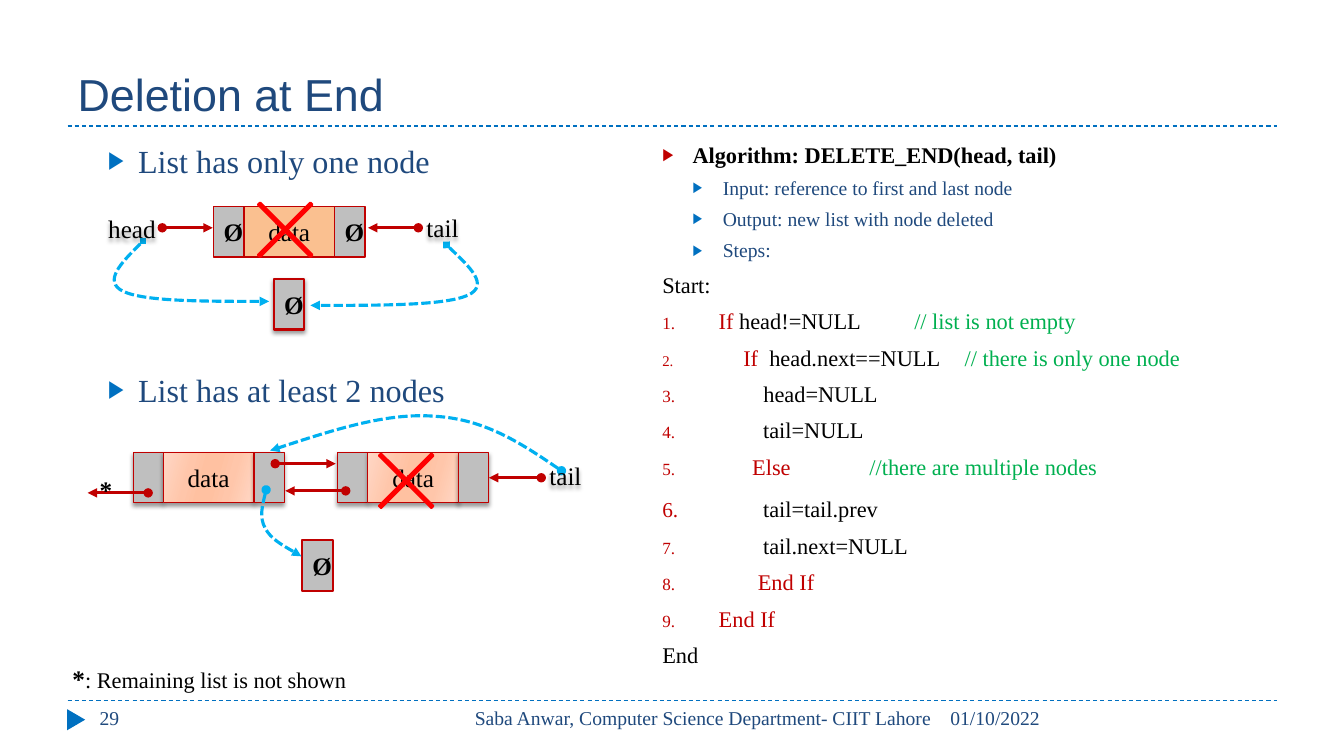
"""Build the slide on deleting the last node of a doubly linked list."""
from dataclasses import dataclass
from typing import Any, NamedTuple, Optional

import lxml.etree
import pptx
import pptx.dml.color
import pptx.enum.dml
import pptx.enum.shapes
import pptx.enum.text
import pptx.oxml
import pptx.oxml.ns
import pptx.util

qn = pptx.oxml.ns.qn
Preset = pptx.enum.shapes.MSO_SHAPE
Dash = pptx.enum.dml.MSO_LINE
Align = pptx.enum.text.PP_ALIGN
Anchor = pptx.enum.text.MSO_ANCHOR


@dataclass(frozen=True)
class Theme:
    sans: str = "Arial"
    serif: str = "Times New Roman"
    navy: str = "1F497D"
    blue: str = "0070C0"
    sky: str = "00B0F0"
    crimson: str = "C00000"
    red: str = "FF0000"
    green: str = "00B050"
    black: str = "000000"
    grey: str = "BFBFBF"
    orange: str = "FAC090"
    peach: tuple = ((0, "FFD7C5"), (30, "FFC6AA"), (45, "FFC1A1"),
                    (55, "FFC1A1"), (73, "FFC6AA"), (100, "FFD7C5"))
    title: int = 32
    topic: int = 23
    step: int = 20
    label: int = 18
    code: int = 16
    small: int = 14


THEME = Theme()
UNITS_PER_INCH = 10


class Box(NamedTuple):
    left: float
    top: float
    width: float
    height: float


class Piece(NamedTuple):
    text: str
    color: str = THEME.black
    size: int = THEME.code
    bold: bool = False
    font: str = THEME.serif


class Item(NamedTuple):
    pieces: tuple
    before: float = 0
    level: int = 0
    margin: float = 0
    hang: float = 0
    bullet: Optional[str] = None
    bullet_color: str = THEME.crimson


class Node(NamedTuple):
    left: float
    top: float
    end_mark: str
    data_fill: Any
    line: float
    shadow: bool


class Arrow(NamedTuple):
    start: tuple
    end: tuple


class Curve(NamedTuple):
    points: tuple
    tail_mark: str


def grid(units: float) -> int:
    return pptx.util.Inches(units / UNITS_PER_INCH)


def rgb(color: str) -> pptx.dml.color.RGBColor:
    return pptx.dml.color.RGBColor.from_string(color)


def add_element(parent: Any, tag: str, **attributes: Any) -> Any:
    return lxml.etree.SubElement(parent, qn(tag), {k: str(v) for k, v in attributes.items()})


def place(shape: Any, box: Box) -> None:
    shape.left, shape.top, shape.width, shape.height = map(grid, box)


def write_item(paragraph: Any, item: Item) -> None:
    paragraph.level = item.level
    paragraph.space_before = pptx.util.Pt(item.before)
    properties = paragraph._p.get_or_add_pPr()
    properties.set("marL", str(grid(item.margin)))
    properties.set("indent", str(-grid(item.hang)))
    if item.bullet is None:
        add_element(properties, "a:buNone")
    else:
        add_element(add_element(properties, "a:buClr"), "a:srgbClr", val=item.bullet_color)
        add_element(properties, "a:buSzPct", val=76000)
        add_element(properties, "a:buFont", typeface=THEME.sans if item.bullet == "▶" else THEME.serif)
        if item.bullet == "▶":
            add_element(properties, "a:buChar", char=item.bullet)
        else:
            add_element(properties, "a:buAutoNum", type=item.bullet)
    for piece in item.pieces:
        run = paragraph.add_run()
        run.text = piece.text
        run.font.name, run.font.size, run.font.bold = piece.font, pptx.util.Pt(piece.size), piece.bold
        run.font.color.rgb = rgb(piece.color)


def write(shape: Any, items: list, anchor: Any = Anchor.TOP, align: Any = Align.LEFT, wrap: bool = True) -> None:
    frame = shape.text_frame
    frame.auto_size = pptx.enum.text.MSO_AUTO_SIZE.NONE
    frame.word_wrap = wrap
    frame.vertical_anchor = anchor
    for index, item in enumerate(items):
        paragraph = frame.add_paragraph() if index else frame.paragraphs[0]
        write_item(paragraph, item)
        paragraph.alignment = align


def add_shadow(shape: Any) -> None:
    effects = add_element(shape._element.spPr, "a:effectLst")
    shadow = add_element(effects, "a:outerShdw", blurRad=pptx.util.Pt(3), dist=pptx.util.Pt(2), dir=5400000)
    add_element(add_element(shadow, "a:srgbClr", val=THEME.black), "a:alpha", val=40000)


def add_text(shapes: Any, box: Box, *pieces: Piece, shadow: bool = False, **layout: Any) -> None:
    text = shapes.add_textbox(*map(grid, box))
    write(text, [Item(pieces)], **layout)
    if shadow:
        add_shadow(text)


def style_line(line: Any, color: str, width: float, dash: Any = None, head: str = "", tail: str = "") -> None:
    line.color.rgb, line.width = rgb(color), pptx.util.Pt(width)
    if dash:
        line.dash_style = dash
    for tag, mark in (("a:headEnd", head), ("a:tailEnd", tail)):
        if mark:
            add_element(line._get_or_add_ln(), tag, type=mark)


def add_preset(shapes: Any, preset: Any, box: Box, fill: Any, color: str, width: float,
               mark: str = "", bold: bool = False, shadow: bool = False) -> Any:
    shape = shapes.add_shape(preset, *map(grid, box))
    if isinstance(fill, str):
        shape.fill.solid()
        shape.fill.fore_color.rgb = rgb(fill)
    else:
        shape.fill.gradient()
        gradient = shape._element.spPr.find(qn("a:gradFill"))
        for child in list(gradient):
            gradient.remove(child)
        stops = add_element(gradient, "a:gsLst")
        for share, color_stop in fill:
            add_element(add_element(stops, "a:gs", pos=share * 1000), "a:srgbClr", val=color_stop)
        add_element(gradient, "a:lin", ang=16 * 60000, scaled=0)
    style_line(shape.line, color, width)
    if shadow:
        add_shadow(shape)
    else:
        shape.shadow.inherit = False
    if mark:
        write(shape, [Item((Piece(mark, size=THEME.label, bold=bold),))], Anchor.MIDDLE, Align.CENTER)
    return shape


def add_node(shapes: Any, node: Node) -> Any:
    cells = ((0, 3, node.end_mark, THEME.grey), (3, 9, "data", node.data_fill), (12, 3, node.end_mark, THEME.grey))
    return [add_preset(shapes, Preset.RECTANGLE, Box(node.left + offset, node.top, width, 5), fill, THEME.crimson,
                       node.line, mark, mark == "Ø", node.shadow) for offset, width, mark, fill in cells][-1]


def add_line(shapes: Any, arrow: Arrow, *style: Any) -> Any:
    line = shapes.add_connector(pptx.enum.shapes.MSO_CONNECTOR.STRAIGHT, *map(grid, arrow.start + arrow.end))
    style_line(line.line, *style)
    add_element(line._element.spPr, "a:effectLst")
    return line


def add_curve(shapes: Any, curve: Curve) -> None:
    start, *rest = [tuple(map(grid, point)) for point in curve.points]
    builder = shapes.build_freeform(*start)
    builder.add_line_segments(rest, close=False)
    shape = builder.convert_to_shape()
    segments = shape._element.xpath(".//a:lnTo")
    outline = segments[0].getparent()
    for first in range(0, len(segments), 3):
        bezier = add_element(outline, "a:cubicBezTo")
        for segment in segments[first:first + 3]:
            bezier.append(segment[0])
            outline.remove(segment)
    shape.fill.background()
    style_line(shape.line, THEME.sky, 2.25, Dash.SQUARE_DOT, curve.tail_mark, "triangle")
    shape.shadow.inherit = False


def topic(text: str, before: float = 0) -> Item:
    return Item((Piece(text, THEME.navy, THEME.topic),), before, 1, 6, 3, "▶", THEME.blue)


def detail(text: str) -> Item:
    return Item((Piece(text, THEME.navy, THEME.small),), 5.5, 1, 6, 3, "▶", THEME.blue)


def step(*pieces: Piece) -> Item:
    return Item(pieces, 6.75, 0, 5.6, 5.6, "arabicPeriod")


TOPICS = [topic("List has only one node"), topic("List has at least 2 nodes", 136)]
ALGORITHM = [
    Item((Piece("Algorithm: DELETE_END(head, tail)", bold=True),), 0, 0, 3, 3, "▶"),
    detail("Input: reference to first and last node"),
    detail("Output: new list with node deleted"),
    detail("Steps:"),
    Item((Piece("Start:"),), 6.75),
    step(Piece("If", THEME.crimson), Piece(" head!=NULL\t\t"), Piece("// list is not empty", THEME.green)),
    step(Piece("     ", size=THEME.small), Piece("If  ", THEME.crimson), Piece("head.next==NULL\t"),
         Piece("// there is only one node", THEME.green)),
    step(Piece("        head=NULL")),
    step(Piece(" \ttail=NULL")),
    step(Piece("      "), Piece("Else \t\t", THEME.crimson), Piece(" //there are multiple nodes", THEME.green)),
    step(Piece(" \t", THEME.crimson, THEME.step), Piece("tail=tail.prev")),
    step(Piece("\ttail.next=NULL")),
    step(Piece("       End If", THEME.crimson)),
    step(Piece("End If", THEME.crimson)),
    Item((Piece("End"),), 6.75),
]
ONLY_NODE = Node(21.2, 20.5, "Ø", THEME.orange, 1, False)
KEPT_NODE = Node(13.2, 44.9, "", THEME.peach, 0.75, True)
LAST_NODE = Node(33.5, 44.9, "", THEME.peach, 0.75, True)
NULLS = ((Box(27.2, 27.7, 3, 5), True), (Box(30, 53.6, 3, 5), False))
POINTERS = (Arrow((16.1, 22.6), (21.1, 22.6)), Arrow((41.5, 22.6), (36.5, 22.6)), Arrow((34.3, 48.7), (28.3, 48.7)),
            Arrow((27.3, 46), (33.3, 46)), Arrow((14.7, 48.9), (8.7, 48.9)))
TAIL_POINTER = Arrow((53.7, 47.4), (48.5, 47.4))
NEW_LINKS = (
    Curve(((14.2, 23.9), (12.2, 25.9), (10.2, 27.9), (12.2, 28.9), (14.3, 29.9), (20.5, 29.9), (26.7, 29.9)), "diamond"),
    Curve(((44.3, 24.3), (46.4, 26.3), (48.6, 28.3), (46.4, 29.3), (44.1, 30.3), (37.5, 30.3), (30.8, 30.3)), "diamond"),
    Curve(((26.4, 48.6), (26.1, 49.9), (25.7, 51.3), (26.3, 52.4), (26.9, 53.5), (28.4, 54.3), (29.9, 55.2)), "oval"),
    Curve(((55.7, 46.7), (51.9, 44.1), (48.1, 41.6), (43.2, 41.3), (38.4, 40.9), (32.6, 42.8), (26.8, 44.7)), "oval"),
)
LABELS = (("head", 9.6, 21.2), ("tail", 40.4, 21.1), ("tail", 52.6, 45.7))
FOOTERS = (("01/10/2022", Box(93.3, 69.5, 33.4, 4), Align.LEFT), ("29", Box(8.9, 69.5, 28.9, 4), Align.LEFT),
           ("Saba Anwar, Computer Science Department- CIIT Lahore", Box(42.3, 69.5, 51.1, 4), Align.RIGHT))


def main() -> None:
    deck = pptx.Presentation()
    deck.slide_width, deck.slide_height = grid(133.33), grid(75)
    slide = deck.slides.add_slide(deck.slide_layouts[3])
    shapes = slide.shapes
    title, topics, algorithm = slide.placeholders
    place(title, Box(6.7, 1.7, 120, 10.8))
    write(title, [Item((Piece("Deletion at End", THEME.navy, THEME.title, font=THEME.sans),))], Anchor.BOTTOM)
    place(topics, Box(6.7, 13.5, 50.3, 54))
    write(topics, TOPICS)
    place(algorithm, Box(64.7, 13.5, 62, 54))
    write(algorithm, ALGORITHM)
    for rule in (12.5, 69.5):
        add_line(shapes, Arrow((6.7, rule), (126.7, rule)), THEME.blue, 0.75, Dash.DASH)
    page_marker = add_preset(shapes, Preset.ISOSCELES_TRIANGLE, Box(6.5, 70.5, 2.1, 1.8), THEME.blue, THEME.blue, 0.75)
    page_marker.rotation = 90
    page_marker.line.fill.background()
    for text, box, align in FOOTERS:
        add_text(shapes, box, Piece(text, THEME.navy, THEME.small), align=align)
    for node in (ONLY_NODE, KEPT_NODE, LAST_NODE):
        last_cell = add_node(shapes, node)
    for box, shadow in NULLS:
        add_preset(shapes, Preset.RECTANGLE, box, THEME.grey, THEME.crimson, 1.5, "Ø", True, shadow)
    for pointer in POINTERS:
        add_line(shapes, pointer, THEME.crimson, 2.25, None, "oval", "triangle")
    add_line(shapes, TAIL_POINTER, THEME.crimson, 2.25, None, "oval", "triangle").end_connect(last_cell, 3)
    for link in NEW_LINKS:
        add_curve(shapes, link)
    for left, top in ((23.3, 17.8), (35.3, 42.7)):
        cross = add_preset(shapes, Preset.MATH_MULTIPLY, Box(left, top, 10, 10), THEME.red, THEME.red, 1.5)
        cross.adjustments[0] = 0.03
    for text, left, top in LABELS:
        add_text(shapes, Box(left, top, 7, 3), Piece(text, size=THEME.label), shadow=True,
                 anchor=Anchor.MIDDLE, align=Align.CENTER)
    star = Piece("*", size=THEME.label, bold=True)
    add_text(shapes, Box(6.2, 65.3, 29.6, 4), star, Piece(": Remaining list is not shown"), wrap=False)
    add_text(shapes, Box(8.9, 46.6, 3.3, 4), star, wrap=False)
    deck.save("out.pptx")


if __name__ == "__main__":
    main()
